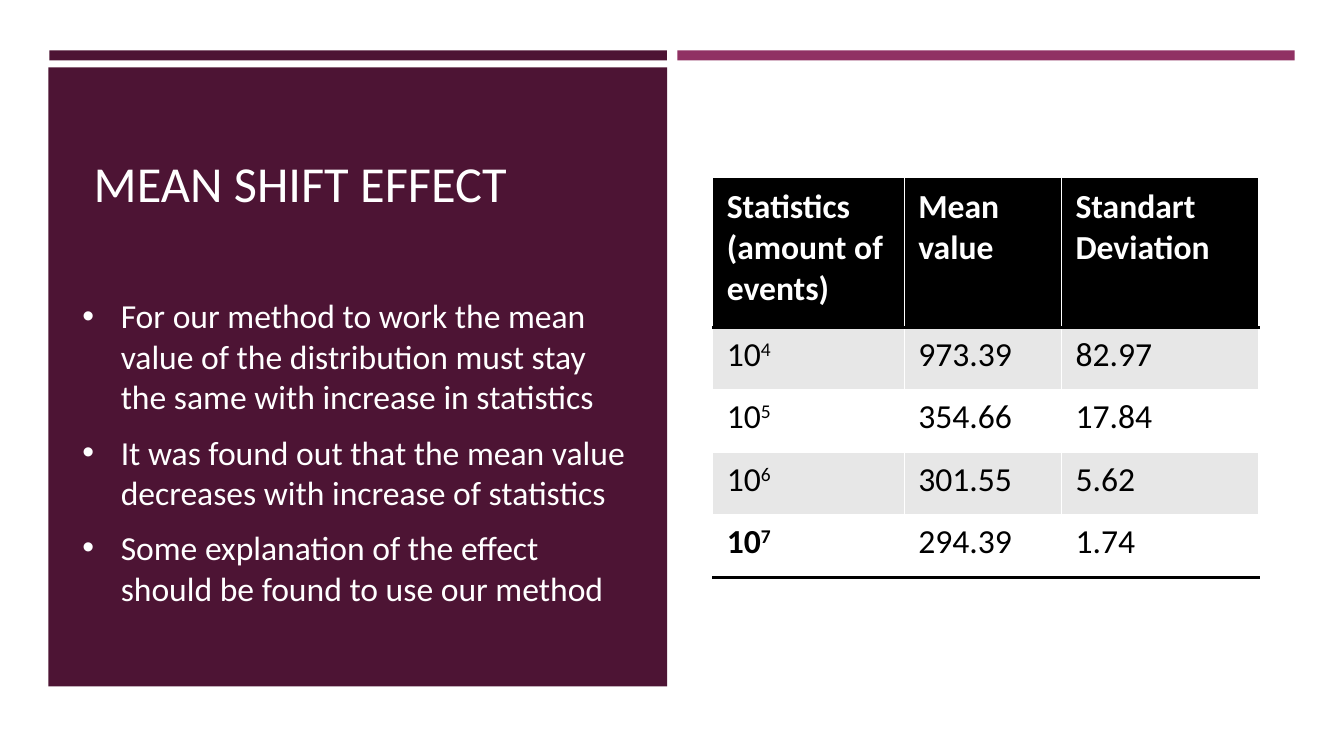
from lxml.etree import SubElement as Sub
from pptx import Presentation
from pptx.dml.color import RGBColor
from pptx.enum.shapes import MSO_SHAPE as Shape
from pptx.enum.text import MSO_ANCHOR as Anchor, MSO_AUTO_SIZE as Auto, PP_ALIGN as Align
from pptx.oxml.ns import qn
from pptx.util import Inches, Pt

PLUM, ROSE, WHITE, BLACK, GREY = "4D1434", "903163", "FFFFFF", "000000", "E7E7E7"
FULL = (0, 0, Inches(13.333), Inches(7.5))
TITLE = "MEAN SHIFT EFFECT"
POINTS = [
    "For our method to work the mean value of the distribution must stay the same with increase in statistics",
    "It was found out that the mean value decreases with increase of statistics",
    "Some explanation of the effect should be found to use our method",
]
HEAD = ["Statistics (amount of events)", "Mean value", "Standart Deviation"]
ROWS = [
    ("4", "973.39", "82.97"),
    ("5", "354.66", "17.84"),
    ("6", "301.55", "5.62"),
    ("7", "294.39", "1.74"),
]


def tint(code):
    """Turn a hex string into a colour."""
    return RGBColor.from_string(code)


def part(box, left, top, wide, high):
    """Return a box inside another, given in percent of its size."""
    x, y, w, h = box
    return (int(x + w * left / 100), int(y + h * top / 100),
            int(w * wide / 100), int(h * high / 100))


def put(item, **vals):
    """Set attributes from named values."""
    for key, val in vals.items():
        setattr(item, key, val)


def write(para, text, size, code, bold=False, base=0):
    """Add a run of text to a paragraph."""
    run = para.add_run()
    run.text = text
    put(run.font, name="Calibri", size=Pt(size), bold=bold)
    run.font.color.rgb = tint(code)
    if base:
        run._r.get_or_add_rPr().set("baseline", str(base * 1000))


def block(slide, box, code):
    """Draw a plain filled rectangle."""
    rect = slide.shapes.add_shape(Shape.RECTANGLE, *box)
    rect.shadow.inherit = False
    rect.fill.solid()
    rect.fill.fore_color.rgb = tint(code)
    rect.line.fill.background()


def bullet(para):
    """Give a paragraph a hanging white bullet."""
    put(para, space_before=Pt(4.8), space_after=Pt(6))
    props = para._p.get_or_add_pPr()
    props.set("marL", str(Inches(0.38)))
    props.set("indent", str(-Inches(0.38)))
    Sub(Sub(props, qn("a:buClr")), qn("a:srgbClr"), val=WHITE)
    Sub(props, qn("a:buFont"), typeface="Arial")
    Sub(props, qn("a:buChar"), char="•")


def panel(slide, box):
    """Draw the dark panel with its title and bullet points."""
    block(slide, box, PLUM)
    title = slide.shapes.title
    slide.shapes._spTree.append(title._element)
    body = slide.shapes.add_textbox(*part(box, 3.91, 27.36, 92.18, 69.38))
    spots = zip(("left", "top", "width", "height"), part(box, 5.7, 6.19, 88.44, 18.08))
    put(title, **dict(spots))
    for shape, anchor in ((title, Anchor.BOTTOM), (body, Anchor.MIDDLE)):
        put(shape.text_frame, word_wrap=True, auto_size=Auto.NONE, vertical_anchor=anchor)
    head = title.text_frame.paragraphs[0]
    head.alignment = Align.LEFT
    write(head, TITLE, 36, WHITE)
    frame = body.text_frame
    for num, text in enumerate(POINTS):
        para = frame.add_paragraph() if num else frame.paragraphs[0]
        bullet(para)
        write(para, text, 24, WHITE)


def bars(slide, box):
    """Draw the two bars along the top."""
    for left, code in ((3.68, PLUM), (50.4, ROSE)):
        block(slide, part(box, left, 6.67, 45.94, 1.33), code)


def edge(cell, sides):
    """Draw black borders on the named sides of a cell."""
    props = cell._tc.get_or_add_tcPr()
    for spot, side in enumerate(sides):
        line = Sub(props, qn("a:ln" + side), w=str(Pt(2)))
        Sub(Sub(line, qn("a:solidFill")), qn("a:srgbClr"), val=BLACK)
        props.insert(spot, line)


def style(cell, code, sides):
    """Set the fill, margins and borders of a cell."""
    cell.fill.solid()
    cell.fill.fore_color.rgb = tint(code)
    put(cell, margin_left=Inches(0.14), margin_right=Inches(0.14),
        margin_top=Inches(0.07), margin_bottom=Inches(0.07))
    edge(cell, sides)


def stats(slide, box):
    """Draw the table of statistics."""
    last = len(ROWS)
    grid = slide.shapes.add_table(last + 1, len(HEAD), *box).table
    for col, share in zip(grid.columns, (35.06, 28.78, 36.16)):
        col.width = int(box[2] * share / 100)
    for num, row in enumerate(grid.rows):
        row.height = int(box[3] * (15.7 if num else 37.2) / 100)
    for cell, text in zip(grid.rows[0].cells, HEAD):
        style(cell, BLACK, "TB")
        write(cell.text_frame.paragraphs[0], text, 24, WHITE, True)
    for num, vals in enumerate(ROWS, 1):
        for col, text in enumerate(vals):
            cell = grid.cell(num, col)
            style(cell, GREY if num % 2 else WHITE, "B" if num == last else "")
            para = cell.text_frame.paragraphs[0]
            bold = num == last and col == 0
            if col == 0:
                write(para, "10", 24, BLACK, bold)
            write(para, text, 24, BLACK, bold, 0 if col else 30)


def main():
    """Build and save the slide."""
    deck = Presentation()
    put(deck, slide_width=FULL[2], slide_height=FULL[3])
    slide = deck.slides.add_slide(deck.slide_layouts[5])
    slide.background.fill.solid()
    slide.background.fill.fore_color.rgb = tint(WHITE)
    panel(slide, part(FULL, 3.6, 8.93, 46.05, 81.87))
    bars(slide, FULL)
    stats(slide, part(FULL, 53.03, 23.73, 40.65, 52.67))
    deck.save("out.pptx")


if __name__ == "__main__":
    main()
